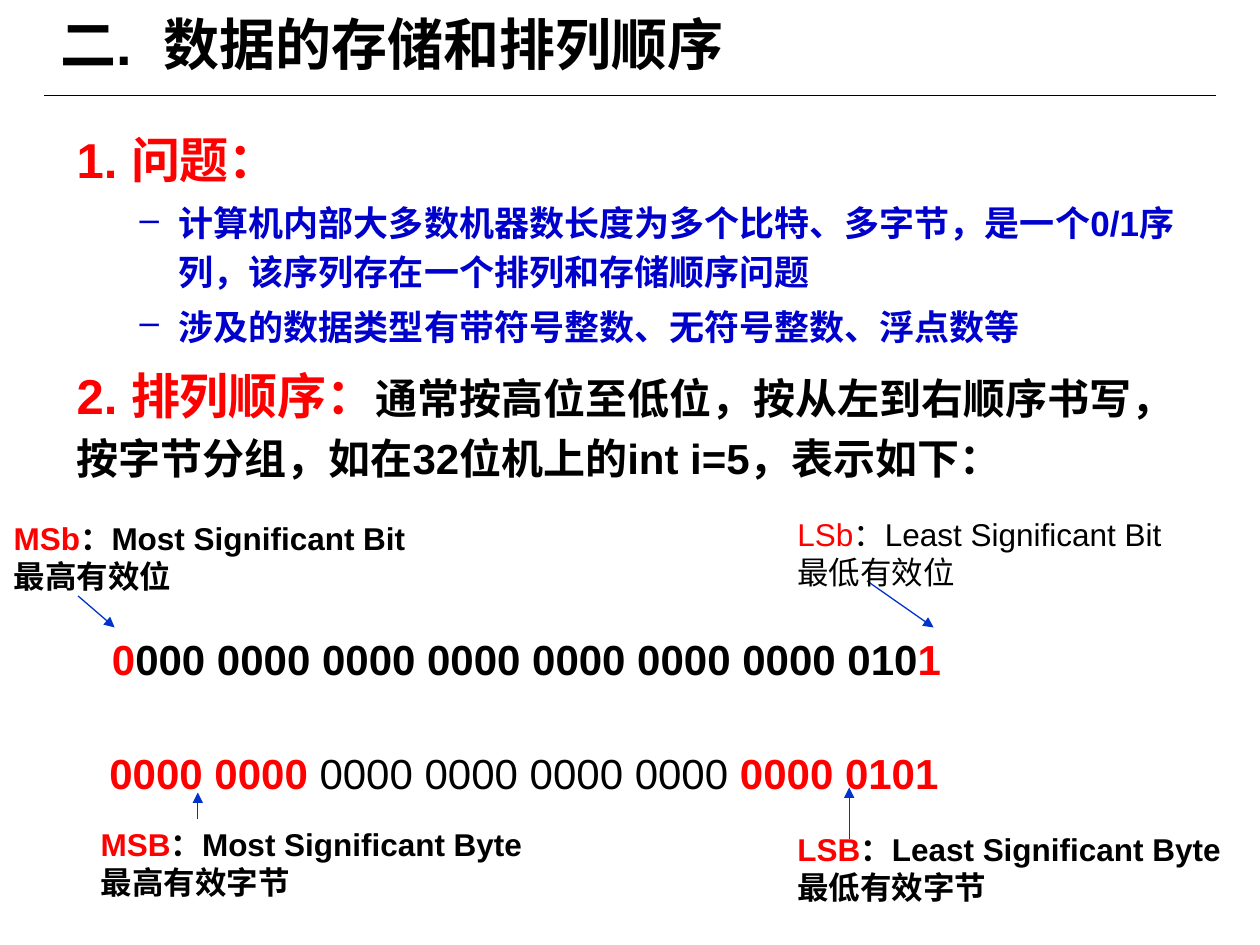
from lxml import etree
from pptx import Presentation, util as u
from pptx.dml.color import RGBColor
from pptx.enum import shapes, text
from pptx.oxml.ns import qn

BLACK = RGBColor(0x00, 0x00, 0x00)
RED = RGBColor(0xFF, 0x00, 0x00)
BLUE = RGBColor(0x00, 0x00, 0xCC)
ARROW_BLUE = RGBColor(0x00, 0x33, 0xCC)
FONT = "Arial"

deck = Presentation()
deck.slide_width, deck.slide_height = u.Inches(10), u.Inches(7.5)
slide = deck.slides.add_slide(deck.slide_layouts[6])


def add_text(left, top, width, height, paragraphs, size=18, bold=True,
             anchor=text.MSO_ANCHOR.TOP, spacing=None):
    """Each paragraph is (bulleted, runs); each run is (words, colour, format)."""
    box = slide.shapes.add_textbox(*map(u.Inches, (left, top, width, height)))
    frame = box.text_frame
    frame.word_wrap = True
    frame.vertical_anchor = anchor
    for number, (bulleted, runs) in enumerate(paragraphs):
        para = frame.add_paragraph() if number else frame.paragraphs[0]
        if bulleted:
            props = para._p.get_or_add_pPr()
            props.set("marL", str(u.Inches(0.81)))
            props.set("indent", str(u.Inches(-0.31)))
            etree.SubElement(props, qn("a:buChar")).set("char", "–")
        if spacing:
            para.line_spacing = spacing
            if number:
                para.space_before = u.Pt(0.2 * runs[0][2].get("size", size))
        for words, colour, style in runs:
            run = para.add_run()
            run.text = words
            run.font.name = FONT
            run.font.size = u.Pt(style.get("size", size))
            run.font.bold = style.get("bold", bold)
            run.font.color.rgb = colour


def add_line(x1, y1, x2, y2, colour, arrow=False):
    line = slide.shapes.add_connector(
        shapes.MSO_CONNECTOR.STRAIGHT, *map(u.Inches, (x1, y1, x2, y2)))
    line.line.color.rgb = colour
    line.line.width = u.Pt(0.75)
    if arrow:
        etree.SubElement(line.line._get_or_add_ln(), qn("a:tailEnd")).set("type", "triangle")
    etree.SubElement(line._element.spPr, qn("a:effectLst"))


# Title and rule
add_line(0.35, 0.76, 9.65, 0.76, BLACK)
add_text(0.38, 0.04, 9, 0.61, [(False, [("二.  数据的存储和排列顺序", BLACK, {})])],
         size=32, anchor=text.MSO_ANCHOR.MIDDLE)

# Problem and ordering
heading = {"size": 28}
add_text(0.51, 0.91, 9, 3.03, [
    (False, [("1. 问题：", RED, heading)]),
    (True, [("计算机内部大多数机器数长度为多个比特、多字节，是一个0/1序列，"
             "该序列存在一个排列和存储顺序问题", BLUE, {"size": 20})]),
    (True, [("涉及的数据类型有带符号整数、无符号整数、浮点数等", BLUE, {"size": 20})]),
    (False, [("2. 排列顺序：", RED, heading),
             ("通常按高位至低位，按从左到右顺序书写，按字节分组，"
              "如在32位机上的int i=5，表示如下：", BLACK, {})]),
], size=24, spacing=1.15)

# The 32 bits, with the end bits and then the end bytes marked
bits = [("0", RED, {}), ("000 0000 0000 0000 0000 0000 0000 010", BLACK, {}), ("1", RED, {})]
octets = [("0000 0000 ", RED, {}), ("0000 0000 0000 0000 ", BLACK, {"bold": False}),
          ("0000 0101", RED, {})]
for left, top, row in ((0.79, 4.98, bits), (0.77, 5.88, octets)):
    add_text(left, top, 7.43, 0.51, [(False, row)], size=24)

# Arrows from the labels to the bits and bytes
for ends in ((0.62, 4.73, 0.91, 4.98), (6.88, 4.61, 7.41, 4.98),
             (1.57, 6.5, 1.57, 6.29), (6.74, 6.66, 6.74, 6.25)):
    add_line(*ends, ARROW_BLUE, arrow=True)

# Labels
for left, top, width, short, full, chinese, bold in (
        (0.01, 4.07, 3.34, "MSb", "Most Significant Bit", "最高有效位", True),
        (6.23, 4.04, 3.15, "LSb", "Least Significant Bit", "最低有效位", False),
        (0.7, 6.5, 3.58, "MSB", "Most Significant Byte", "最高有效字节", True),
        (6.23, 6.54, 3.6, "LSB", "Least Significant Byte", "最低有效字节", True)):
    add_text(left, top, width, 0.71, [
        (False, [(short, RED, {}), ("：" + full, BLACK, {})]),
        (False, [(chinese, BLACK, {})]),
    ], bold=bold)

deck.save("out.pptx")
